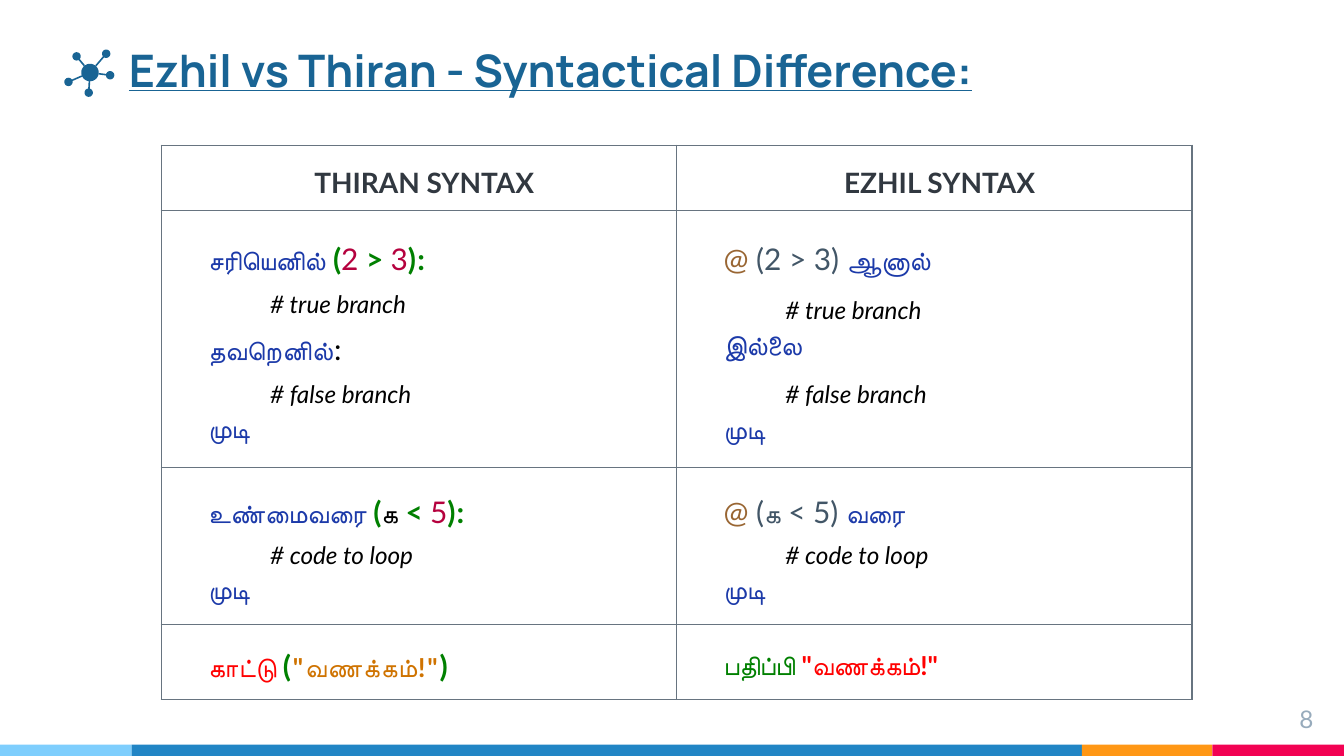
import math
import pptx
import pptx.util
import pptx.dml.color
import pptx.enum.shapes
import pptx.enum.text
import pptx.oxml.ns
from lxml import etree

ALIGN = pptx.enum.text.PP_ALIGN
MIDDLE = pptx.enum.text.MSO_ANCHOR.MIDDLE
COLORS = {
    "navy": "196494", "sky": "7ECEFD", "blue": "2185C5", "orange": "FF9715",
    "pink": "F20253", "mist": "97ABBC", "rule": "677480", "head": "313840",
    "word": "1C3AA9", "black": "000000", "green": "008000", "wine": "B5013E",
    "brown": "996633", "slate": "425667", "red": "FF0000", "amber": "CF7300",
}
# Code styles: size, colour, bold, italic, letter spacing
STYLES = {
    "head": (15, "head", True, False, 0),
    "word": (14, "word", False, False, 0),
    "wide": (14, "word", False, False, 0.5),
    "note": (13, "black", False, True, 0),
    "gap": (16, "black", False, False, 0),
    "name": (14, "black", False, False, 0),
    "sign": (16, "green", True, False, 0),
    "shut": (16, "green", True, False, 0.6),
    "brace": (16, "green", True, False, 1),
    "num": (16, "wine", False, False, 0),
    "at": (16, "brown", False, False, 0),
    "cond": (16, "slate", False, False, 0),
    "var": (14, "slate", False, False, 0),
    "call": (14, "red", False, False, 0),
    "airy": (14, "red", False, False, 0.5),
    "bang": (14, "red", True, False, 0),
    "quote": (14, "amber", True, False, 1),
    "text": (14, "amber", False, False, 0.5),
    "verb": (14, "green", False, False, 0),
}


def unit(n):
    """Length of n grid cells, each a tenth of an inch."""
    return pptx.util.Inches(n / 10)


def tint(name):
    return pptx.dml.color.RGBColor.from_string(COLORS[name])


class Deck:
    def __init__(self, wide, high):
        self.show = pptx.Presentation()
        self.show.slide_width, self.show.slide_height = unit(wide), unit(high)
        self.slide = self.show.slides.add_slide(self.show.slide_layouts[6])
        self.shapes = self.slide.shapes

    def paint(self, shape, color):
        shape.shadow.inherit = False
        shape.fill.solid()
        shape.fill.fore_color.rgb = tint(color)
        shape.line.fill.background()

    def bar(self, x, y, w, h, color):
        kind = pptx.enum.shapes.MSO_SHAPE.RECTANGLE
        self.paint(self.shapes.add_shape(kind, unit(x), unit(y), unit(w), unit(h)), color)

    def outline(self, points, color):
        spots = [(unit(x), unit(y)) for x, y in points]
        pen = self.shapes.build_freeform(*spots[0], scale=1)
        pen.add_line_segments(spots[1:], close=True)
        self.paint(pen.convert_to_shape(), color)

    def label(self, x, y, w, h, text, face, size, color, align=ALIGN.LEFT, strong=False):
        frame = self.shapes.add_textbox(unit(x), unit(y), unit(w), unit(h)).text_frame
        frame.word_wrap = not strong
        frame.margin_top = frame.margin_bottom = unit(0.5 if strong else 1)
        part = frame.paragraphs[0]
        part.alignment = align
        part.add_run().text = text
        font = part.font
        font.name, font.size, font.color.rgb = face, pptx.util.Pt(size), tint(color)
        font.bold = font.underline = strong

    def line(self, part, runs):
        part.font.name = "Lato"
        for style, text in runs:
            size, color, bold, slant, space = STYLES[style]
            run = part.add_run()
            run.text = text
            font = run.font
            font.size, font.color.rgb = pptx.util.Pt(size), tint(color)
            font.bold, font.italic = bold, slant
            if space:
                run._r.get_or_add_rPr().set("spc", str(int(space * 100)))

    def border(self, cell):
        props = cell._tc.get_or_add_tcPr()
        for spot, side in enumerate(("lnL", "lnR", "lnT", "lnB")):
            edge = etree.Element(pptx.oxml.ns.qn("a:" + side), w="9525")
            fill = etree.SubElement(edge, pptx.oxml.ns.qn("a:solidFill"))
            etree.SubElement(fill, pptx.oxml.ns.qn("a:srgbClr"), val=COLORS["rule"])
            props.insert(spot, edge)

    def cell(self, cell, lines, head, lift):
        cell.fill.background()
        self.border(cell)
        cell.vertical_anchor = MIDDLE
        cell.margin_left = unit(1.6 if head else 3.5)
        cell.margin_right = cell.margin_top = unit(0.8)
        cell.margin_bottom = unit(0.8 if head else 1.2)
        frame = cell.text_frame
        for i, runs in enumerate(lines):
            part = frame.add_paragraph() if i else frame.paragraphs[0]
            part.line_spacing = 1.3 if head else 1.35
            part.alignment = ALIGN.CENTER if head else ALIGN.LEFT
            if runs[0][0] == "note":
                part._p.get_or_add_pPr().set("marL", str(unit(4.6)))
                part.space_before = pptx.util.Pt(lift)
            self.line(part, runs)

    def table(self, x, y, w, highs, rows, lifts):
        grid = self.shapes.add_table(len(rows), len(rows[0]), unit(x), unit(y),
                                     unit(w), unit(sum(highs))).table
        grid.first_row = grid.horz_banding = False
        for r, row in enumerate(rows):
            grid.rows[r].height = unit(highs[r])
            for c, lines in enumerate(row):
                self.cell(grid.cell(r, c), lines, r == 0, lifts[r][c])


def spoke(hub, core, node, size, half=0.06):
    """Outline of a round node joined to the hub by a thin arm."""
    turn = math.atan2(hub[1] - node[1], hub[0] - node[0])
    gap, steps = math.asin(half / size), 24
    ring = [turn + gap + (2 * math.pi - 2 * gap) * i / steps for i in range(steps + 1)]
    points = [(node[0] + size * math.cos(a), node[1] + size * math.sin(a)) for a in ring]
    for side in (1, -1):
        points.append((hub[0] - core * math.cos(turn) + side * half * math.sin(turn),
                       hub[1] - core * math.sin(turn) - side * half * math.cos(turn)))
    return points


def main():
    deck = Deck(100, 56.25)

    # Footer stripes
    left = 0
    for wide, color in ((9.8, "sky"), (70.7, "blue"), (9.7, "orange"), (9.8, "pink")):
        deck.bar(left, 55.4, wide, 0.85, color)
        left += wide
    deck.label(92.7, 51.4, 6, 3.4, "8", "Lato", 13, "mist", ALIGN.RIGHT)

    # Title
    deck.label(8.6, 2.7, 64.8, 5, "Ezhil vs Thiran - Syntactical Difference:",
               "Manrope", 24, "navy", strong=True)

    # Syntax table
    end = [("word", "முடி")]
    true, false, loop = ([("note", "# " + t)]
                         for t in ("true branch", "false branch", "code to loop"))
    tail = [("shut", ")"), ("sign", ":")]
    rows = [
        [[[("head", "THIRAN SYNTAX")]], [[("head", "EZHIL SYNTAX")]]],
        [[[("word", "சரியெனில்"), ("gap", " "), ("sign", "("), ("num", "2 "),
           ("sign", "> "), ("num", "3")] + tail,
          true, [("word", "தவ"), ("wide", "றெனில்"), ("gap", ":")], false, end],
         [[("at", "@ "), ("cond", "(2 > 3) "), ("word", "ஆனால்")],
          true, [("word", "இல்லை")], false, end]],
        [[[("word", "உண்மைவரை "), ("sign", "("), ("name", "க"), ("gap", " "),
           ("sign", "< "), ("num", "5")] + tail, loop, end],
         [[("at", "@ "), ("cond", "("), ("var", "க"), ("cond", " < 5) "),
           ("word", "வரை")], loop, end]],
        [[[("airy", "கா"), ("call", "ட்டு "), ("brace", "("), ("quote", '"'),
           ("text", "வணக்கம்"), ("quote", '!"'), ("brace", ")")]],
         [[("verb", "பதிப்பி "), ("bang", '"'), ("call", "வணக்கம்"), ("bang", '!"')]]],
    ]
    lifts = [(0, 0), (1.5, 5), (0, 0), (0, 0)]
    deck.table(12, 10.8, 76.7, (4.8, 19.1, 11.7, 5.6), rows, lifts)

    # Network icon
    hub, core = (6.7, 5.4), 0.65
    for node in ((7.9, 4), (5.7, 4.2), (5.1, 6.1), (6.6, 6.9), (8.2, 5.6)):
        deck.outline(spoke(hub, core, node, 0.31), "navy")
    turns = [math.pi * i / 24 for i in range(48)]
    deck.outline([(hub[0] + core * math.cos(a), hub[1] + core * math.sin(a)) for a in turns], "navy")

    deck.show.save("out.pptx")


if __name__ == "__main__":
    main()
